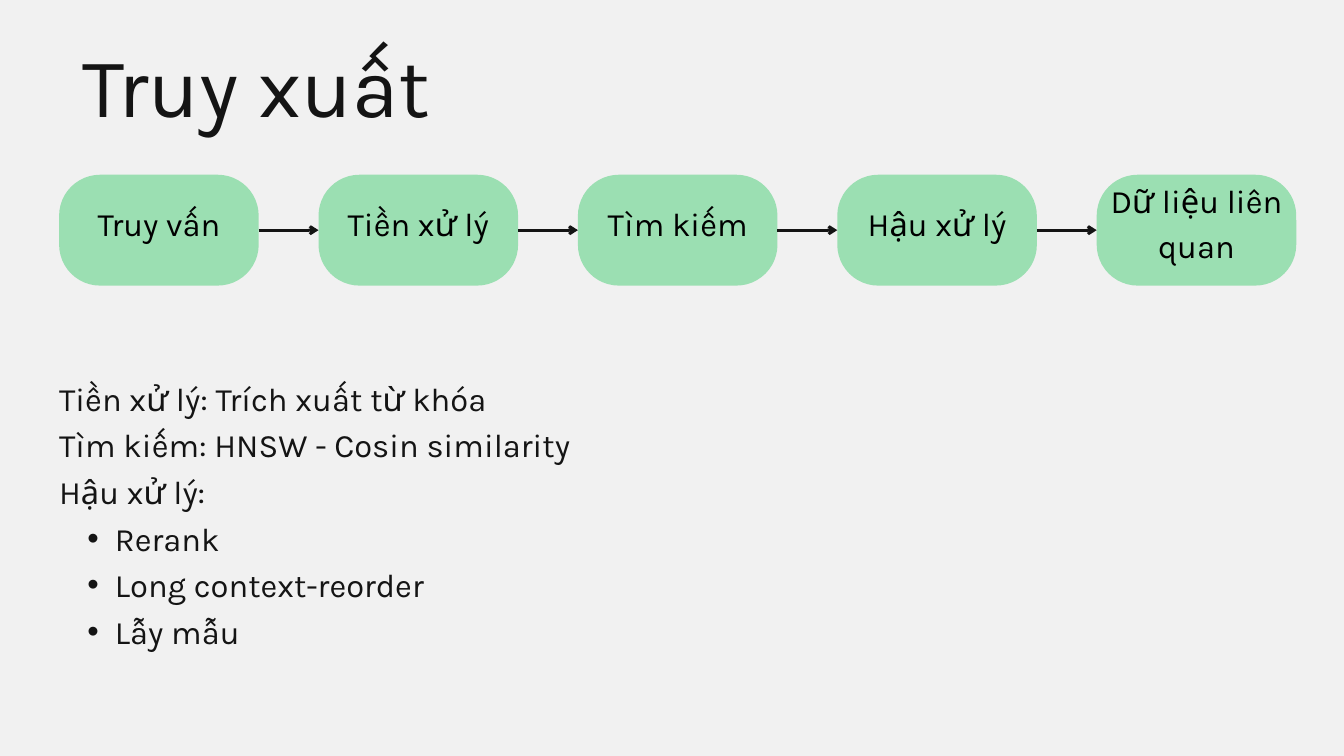
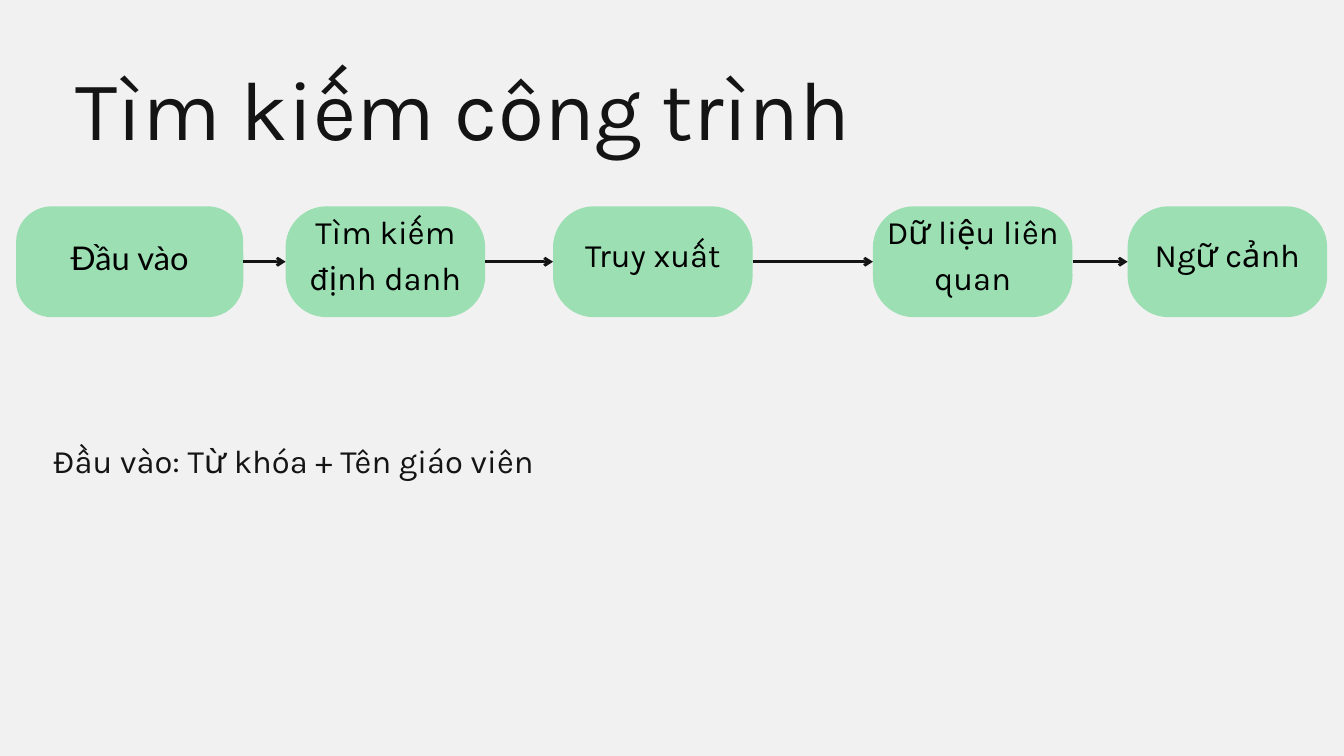
"""Build two slides showing the retrieval and project search flows."""
from lxml import etree
from pptx import Presentation, util as u
from pptx.dml.color import RGBColor
from pptx.enum import shapes, text
from pptx.oxml import ns

PAPER, INK, GREEN, BLACK = "F1F1F1", "141414", "9BDFB2", "000000"
FONT, INPUT_FONT = "Karla", "Lato"
BOX_W, BOX_H, RADIUS, LABEL_RISE = 2.97, 1.65, 0.61, 0.31
INPUT_W, INPUT_RADIUS, INPUT_RISE = 3.38, 0.53, 0.23
START, PITCH = 0.88, 3.86

SLIDES = [
    {
        "title": ("Truy xuất", 1.23, 0.5, 7.25),
        "flow_top": 2.6,
        "steps": [(label, START + PITCH * i) for i, label in enumerate(
            ["Truy vấn", "Tiền xử lý", "Tìm kiếm", "Hậu xử lý", "Dữ liệu liên quan"])],
        "input": None,
        "notes_at": (0.88, 5.52, 4.8),
        "notes": [
            ("Tiền xử lý: Trích xuất từ khóa", 0),
            ("Tìm kiếm: HNSW - Cosin similarity", 0),
            ("Hậu xử lý:", 0),
            ("Rerank", 1),
            ("Long context-reorder", 1),
            ("Lẫy mẫu", 1),
        ],
    },
    {
        "title": ("Tìm kiếm công trình", 1.12, 0.84, 12.26),
        "flow_top": 3.07,
        "steps": [("Đầu vào", 0.24), ("Tìm kiếm định danh", 4.25), ("Truy xuất", 8.23),
                  ("Dữ liệu liên quan", 12.99), ("Ngữ cảnh", 16.78)],
        "input": "Đầu vào",
        "notes_at": (0.79, 6.45, 0.68),
        "notes": [("Đầu vào: Từ khóa + Tên giáo viên", 0)],
    },
]


def rgb(value):
    return RGBColor.from_string(value)


def add_text(parent, lines, at, size, spacing, color=INK, font=FONT, inset=0, centred=False):
    tf = parent.add_textbox(*map(u.Inches, at)).text_frame
    tf.word_wrap = True
    tf.margin_left = tf.margin_right = tf.margin_top = tf.margin_bottom = u.Inches(inset)
    tf.vertical_anchor = text.MSO_ANCHOR.MIDDLE if centred else text.MSO_ANCHOR.TOP
    for i, (line, level) in enumerate(lines):
        p = tf.paragraphs[0] if i == 0 else tf.add_paragraph()
        p.alignment = text.PP_ALIGN.CENTER if centred else text.PP_ALIGN.LEFT
        p.line_spacing = u.Pt(spacing)
        if level:
            p.level = level
            pPr = p._p.get_or_add_pPr()
            pPr.set("marL", str(u.Inches(0.83)))
            pPr.set("indent", str(u.Inches(-0.41)))
            etree.SubElement(pPr, ns.qn("a:buFont")).set("typeface", "Arial")
            etree.SubElement(pPr, ns.qn("a:buChar")).set("char", "•")
        r = p.add_run()
        r.text = line
        r.font.size, r.font.name = u.Pt(size), font
        r.font.color.rgb = rgb(color)


def add_step(s, label, left, top, is_input):
    width, radius, rise, font = (
        (INPUT_W, INPUT_RADIUS, INPUT_RISE, INPUT_FONT) if is_input
        else (BOX_W, RADIUS, LABEL_RISE, FONT))
    group = s.shapes.add_group_shape()
    sp = group.shapes.add_shape(shapes.MSO_SHAPE.ROUNDED_RECTANGLE,
                                *map(u.Inches, (left, top, width, BOX_H)))
    sp.adjustments[0] = radius / BOX_H
    sp.shadow.inherit = False
    sp.fill.solid()
    sp.fill.fore_color.rgb = rgb(GREEN)
    sp.line.fill.background()
    add_text(group.shapes, [(label, 0)], (left, top - rise, width, BOX_H + rise),
             35, 49, BLACK, font, 0.06, True)
    return sp


def add_arrow(s, start, end):
    cx = s.shapes.add_connector(shapes.MSO_CONNECTOR.STRAIGHT, 0, 0, 0, 0)
    cx.begin_connect(start, 3)
    cx.end_connect(end, 1)
    cx.line.color.rgb = rgb(INK)
    cx.line.width = u.Pt(3)
    etree.SubElement(cx.line._get_or_add_ln(), ns.qn("a:tailEnd")).set("type", "arrow")
    etree.SubElement(cx._element.spPr, ns.qn("a:effectLst"))


def build_slide(prs, content):
    s = prs.slides.add_slide(prs.slide_layouts[6])
    s.background.fill.solid()
    s.background.fill.fore_color.rgb = rgb(PAPER)
    title, left, top, width = content["title"]
    add_text(s.shapes, [(title, 0)], (left, top, width, 1.51), 90, 108)
    left, top, height = content["notes_at"]
    add_text(s.shapes, content["notes"], (left, top, 9.91, height), 35, 50)
    boxes = [add_step(s, label, x, content["flow_top"], label == content["input"])
             for label, x in content["steps"]]
    for start, end in zip(boxes, boxes[1:]):
        add_arrow(s, start, end)


def main():
    prs = Presentation()
    prs.slide_width, prs.slide_height = u.Inches(20), u.Inches(11.25)
    for content in SLIDES:
        build_slide(prs, content)
    prs.save("out.pptx")


if __name__ == "__main__":
    main()
